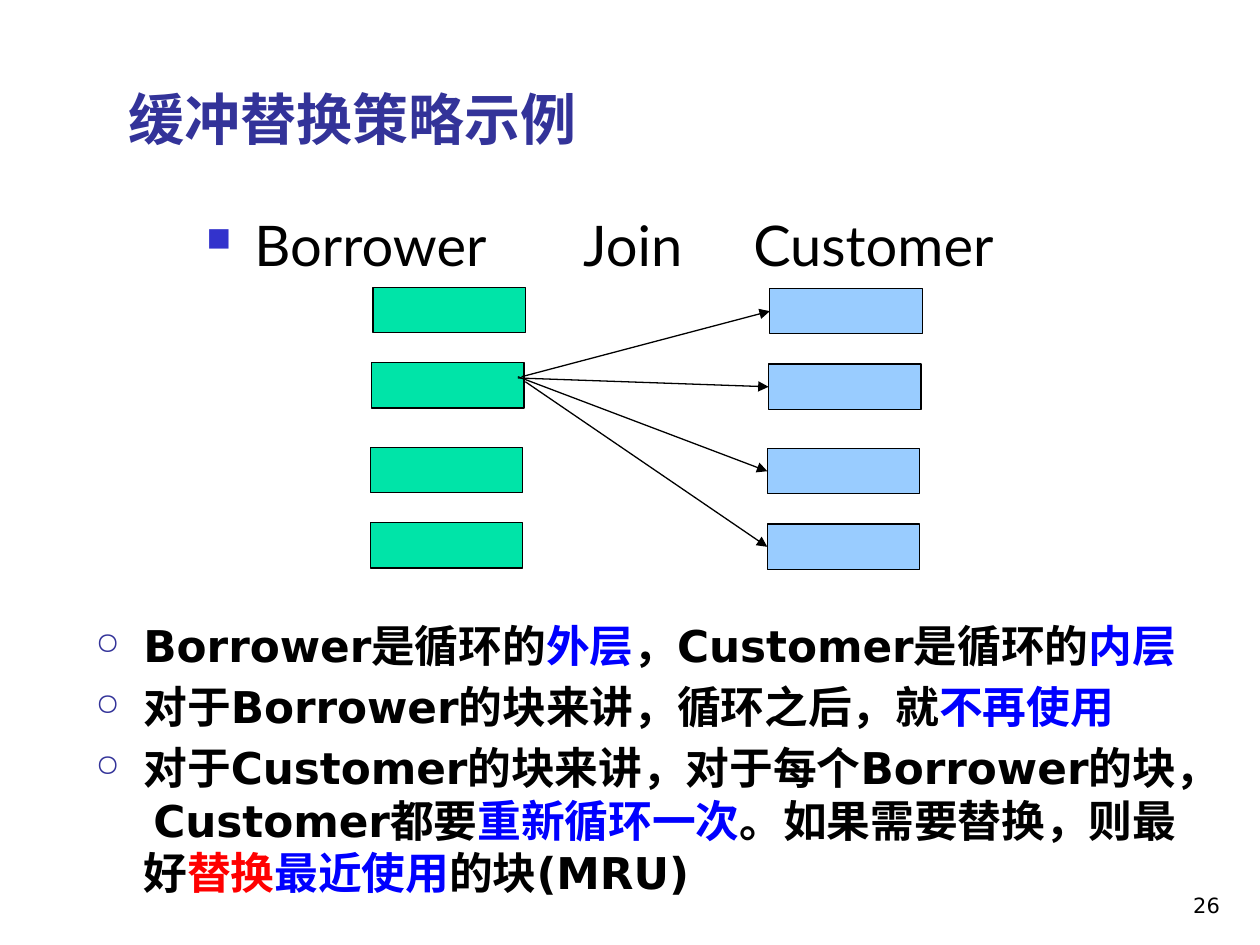
from typing import NamedTuple

from lxml.etree import SubElement
from pptx import Presentation
from pptx.dml.color import RGBColor
from pptx.enum.shapes import MSO_CONNECTOR, MSO_SHAPE
from pptx.enum.text import MSO_ANCHOR, PP_ALIGN
from pptx.oxml.ns import qn
from pptx.util import Inches, Pt

BLACK = RGBColor(0, 0, 0)
NAVY = RGBColor(0x33, 0x33, 0x99)
INDIGO = RGBColor(0x33, 0x33, 0xCC)
BLUE = RGBColor(0, 0, 0xFF)
RED = RGBColor(0xFF, 0, 0)
GREEN = RGBColor(0, 0xE4, 0xA8)
SKY = RGBColor(0x99, 0xCC, 0xFF)

HEAD = {"name": "Lato", "size": Pt(32), "bold": True}
BODY = {"name": "Lato", "size": Pt(32)}
NOTE = {"name": "DejaVu Sans", "size": Pt(25), "bold": True}
PAGE = {"name": "DejaVu Sans", "size": Pt(12)}


class Run(NamedTuple):
    text: str
    color: RGBColor = BLACK


class Bullet(NamedTuple):
    char: str
    color: RGBColor
    size: int


class Column(NamedTuple):
    left: float
    top: float
    color: RGBColor


def add_box(slide, left: float, top: float, width: float, height: float,
            anchor=MSO_ANCHOR.TOP):
    frame = slide.shapes.add_textbox(
        Inches(left), Inches(top), Inches(width), Inches(height)).text_frame
    frame.word_wrap = True
    frame.vertical_anchor = anchor
    return frame


def add_runs(para, runs: list[Run], style: dict) -> None:
    for item in runs:
        run = para.add_run()
        run.text = item.text
        for key, value in style.items():
            setattr(run.font, key, value)
        run.font.color.rgb = item.color


def set_bullet(para, mark: Bullet, tabs: tuple = ()) -> None:
    props = para._p.get_or_add_pPr()
    props.set("marL", str(Inches(0.38)))
    props.set("indent", str(-Inches(0.38)))
    tint = SubElement(props, qn("a:buClr"))
    SubElement(tint, qn("a:srgbClr"), val=str(mark.color))
    SubElement(props, qn("a:buSzPct"), val=str(mark.size * 1000))
    SubElement(props, qn("a:buChar"), char=mark.char)
    if tabs:
        stops = SubElement(props, qn("a:tabLst"))
        for stop in tabs:
            SubElement(stops, qn("a:tab"), pos=str(Inches(stop)), algn="l")


def add_block(slide, left: float, top: float, color: RGBColor):
    block = slide.shapes.add_shape(
        MSO_SHAPE.RECTANGLE, Inches(left), Inches(top), Inches(1.21), Inches(0.36))
    block.shadow.inherit = False
    block.fill.solid()
    block.fill.fore_color.rgb = color
    block.line.color.rgb = BLACK
    block.line.width = Pt(0.75)
    return block


def add_arrow(slide, start: tuple[float, float], block) -> None:
    x, y = map(Inches, start)
    arrow = slide.shapes.add_connector(MSO_CONNECTOR.STRAIGHT, x, y, x, y)
    arrow.end_connect(block, 1)
    arrow.line.color.rgb = BLACK
    arrow.line.width = Pt(0.75)
    SubElement(arrow.line._get_or_add_ln(), qn("a:tailEnd"), type="triangle")
    SubElement(arrow._element.spPr, qn("a:effectLst"))


# Each block: shift to the left and drop from the column's top
STEPS = [(0, 0), (0.01, 0.6), (0.02, 1.27), (0.02, 1.87)]
OUTER = Column(2.96, 2.28, GREEN)
INNER = Column(6.11, 2.29, SKY)
STARTS = [(4.14, 2.99), (4.11, 3), (4.11, 2.99), (4.17, 3.03)]

POINTS = [
    [Run("Borrower是循环的"), Run("外层", BLUE),
     Run("，Customer是循环的"), Run("内层", BLUE)],
    [Run("对于Borrower的块来讲，循环之后，就"), Run("不再使用", BLUE)],
    [Run("对于Customer的块来讲，对于每个Borrower的块， Customer都要"),
     Run("重新循环一次", BLUE), Run("。如果需要替换，则最好"),
     Run("替换", RED), Run("最近使用", BLUE), Run("的块(MRU)")],
]


def main() -> None:
    deck = Presentation()
    deck.slide_width, deck.slide_height = Inches(10), Inches(7.5)
    slide = deck.slides.add_slide(deck.slide_layouts[6])

    # Page number
    para = add_box(slide, 7.7, 6.83, 2.08, 0.5, MSO_ANCHOR.BOTTOM).paragraphs[0]
    para.alignment = PP_ALIGN.RIGHT
    add_runs(para, [Run("26")], PAGE)

    # Title
    frame = add_box(slide, 0.92, 0.42, 8.86, 0.83, MSO_ANCHOR.BOTTOM)
    add_runs(frame.paragraphs[0], [Run("缓冲替换策略示例", NAVY)], HEAD)

    # Column heads
    para = add_box(slide, 1.54, 1.62, 8, 0.51).paragraphs[0]
    set_bullet(para, Bullet("■", INDIGO, 60), (2.99, 4.34))
    add_runs(para, [Run("Borrower\tJoin\tCustomer")], BODY)

    # Blocks of both tables
    outer, inner = (
        [add_block(slide, col.left - shift, col.top + drop, col.color)
         for shift, drop in STEPS]
        for col in (OUTER, INNER))

    # One outer block meets every inner block
    for start, block in zip(STARTS, inner):
        add_arrow(slide, start, block)

    # Notes
    frame = add_box(slide, 0.66, 4.86, 8.95, 2.31)
    for i, runs in enumerate(POINTS):
        para = frame.add_paragraph() if i else frame.paragraphs[0]
        set_bullet(para, Bullet("○", NAVY, 70))
        if i:
            para.space_before = Pt(5)
        add_runs(para, runs, NOTE)

    deck.save("out.pptx")


if __name__ == "__main__":
    main()
